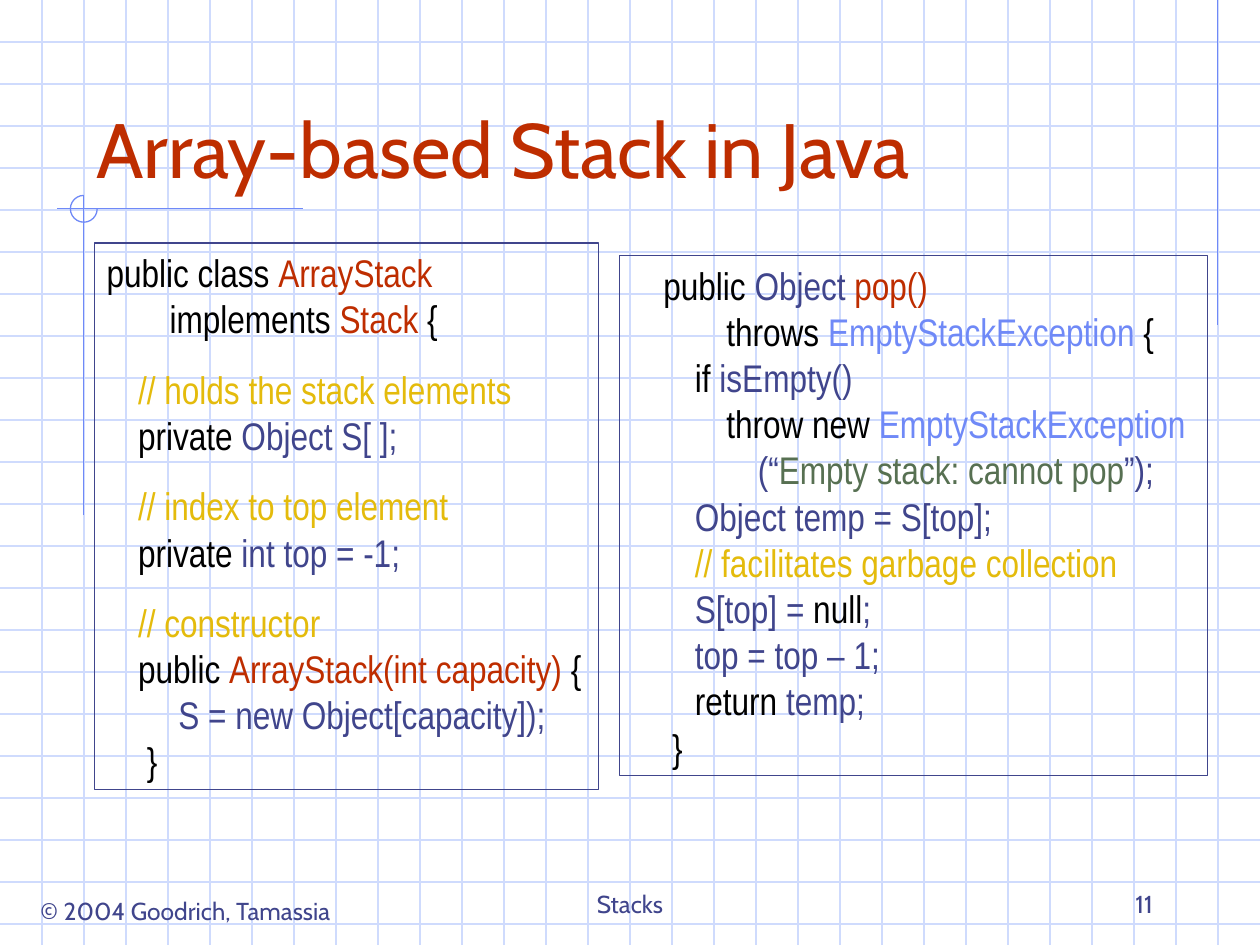
import lxml.etree
import pptx
import pptx.dml.color
import pptx.enum.shapes
import pptx.enum.text
import pptx.oxml.ns
import pptx.util

Cm = pptx.util.Cm
Pt = pptx.util.Pt
qn = pptx.oxml.ns.qn
Align = pptx.enum.text.PP_ALIGN
Anchor = pptx.enum.text.MSO_ANCHOR
AutoSize = pptx.enum.text.MSO_AUTO_SIZE
ShapeType = pptx.enum.shapes.MSO_SHAPE

WIDTH, HEIGHT = 25.4, 19.05
GRID_STEP = 2.54 / 3
TAB_STEP = 0.635
BLACK, RED, NAVY = "000000", "BE2D00", "40458C"
BLUE, GOLD, GREEN, PALE = "6F89F7", "E4BB0C", "577052", "CFDBFD"

CLASS_CODE = [
    [(BLACK, "public class "), (RED, "ArrayStack\n\t\t"), (BLACK, "implements "),
     (RED, "Stack "), (BLACK, "{")],
    [(GOLD, "\t// holds the stack elements\n\t"), (BLACK, "private "),
     (NAVY, "Object S[ ];")],
    [(GOLD, "\t// index to top element\n\t"), (BLACK, "private"),
     (NAVY, " int top = -1;")],
    [(GOLD, "\t// constructor\n\t"), (BLACK, "public "),
     (RED, "ArrayStack(int capacity) "), (BLACK, "{\n\t\t "),
     (NAVY, "S = new Object[capacity]);\n\t "), (BLACK, "}")],
]
POP_CODE = [
    [(BLACK, "\tpublic"), (NAVY, " Object "), (RED, "pop()\n\t\t\t"),
     (BLACK, "throws "), (BLUE, "EmptyStackException "), (BLACK, "{\n\t\tif"),
     (NAVY, " isEmpty()\n\t\t\t"), (BLACK, "throw new "),
     (BLUE, "EmptyStackException\n\t\t\t\t"), (NAVY, "(“"),
     (GREEN, "Empty stack: cannot pop"),
     (NAVY, "”);\n\t\tObject temp = S[top];\n\t\t"),
     (GOLD, "// facilitates garbage collection\n\t\t"), (NAVY, "S[top] = "),
     (BLACK, "null"), (NAVY, ";\n\t\ttop = top – 1;\n\t\t"),
     (BLACK, "return "), (NAVY, "temp;\n\t "), (BLACK, "}")],
]


def color(value):
    return pptx.dml.color.RGBColor.from_string(value)


class SlideWriter:
    """Hold the slide and its style, and draw each kind of element."""

    body_font = "Cabin"
    code_font = "Arial Narrow"
    code_size = 22
    line_width = 0.75

    def __init__(self, slide):
        self.slide = slide

    def outline(self, shape, line_color):
        shape.line.color.rgb = color(line_color)
        shape.line.width = Pt(self.line_width)

    def line(self, x1, y1, x2, y2, line_color):
        connector = self.slide.shapes.add_connector(
            pptx.enum.shapes.MSO_CONNECTOR.STRAIGHT, Cm(x1), Cm(y1), Cm(x2), Cm(y2))
        self.outline(connector, line_color)
        lxml.etree.SubElement(connector._element.spPr, qn("a:effectLst"))

    def shape(self, kind, box, line_color):
        shape = self.slide.shapes.add_shape(kind, *map(Cm, box))
        shape.shadow.inherit = False
        shape.fill.background()
        self.outline(shape, line_color)
        return shape

    def arc(self, box, start, end, line_color):
        shape = self.shape(ShapeType.ARC, box, line_color)
        for index, angle in enumerate((start, end)):
            shape.adjustments[index] = angle * 0.6

    def runs(self, paragraph, parts, font, size):
        for text_color, text in parts:
            for index, piece in enumerate(text.split("\n")):
                if index:
                    paragraph.add_line_break()
                if not piece:
                    continue
                run = paragraph.add_run()
                run.text = piece
                run.font.color.rgb = color(text_color)
                for name, value in {"name": font, "size": Pt(size)}.items():
                    setattr(run.font, name, value)

    def text(self, box, text, size, text_color, align, **frame_format):
        frame = self.slide.shapes.add_textbox(*map(Cm, box)).text_frame
        settings = {"word_wrap": True, "vertical_anchor": Anchor.BOTTOM} | frame_format
        for name, value in settings.items():
            setattr(frame, name, value)
        paragraph = frame.paragraphs[0]
        paragraph.alignment = align
        self.runs(paragraph, [(text_color, text)], self.body_font, size)

    def code(self, box, paragraphs):
        frame = self.shape(ShapeType.RECTANGLE, box, NAVY).text_frame
        settings = {"word_wrap": True, "vertical_anchor": Anchor.TOP,
                    "auto_size": AutoSize.SHAPE_TO_FIT_TEXT}
        for name, value in settings.items():
            setattr(frame, name, value)
        for index, parts in enumerate(paragraphs):
            paragraph = frame.add_paragraph() if index else frame.paragraphs[0]
            for name, value in {"alignment": Align.LEFT, "space_before": Pt(13.8)}.items():
                setattr(paragraph, name, value)
            tabs = lxml.etree.SubElement(
                paragraph._p.get_or_add_pPr(), qn("a:tabLst"))
            for stop in range(8):
                lxml.etree.SubElement(
                    tabs, qn("a:tab"), pos=str(int(Cm(stop * TAB_STEP))), algn="l")
            self.runs(paragraph, parts, self.code_font, self.code_size)


def main():
    presentation = pptx.Presentation()
    presentation.slide_width, presentation.slide_height = Cm(WIDTH), Cm(HEIGHT)
    writer = SlideWriter(presentation.slides.add_slide(presentation.slide_layouts[6]))

    for row in range(1, 23):
        writer.line(0, row * GRID_STEP, WIDTH, row * GRID_STEP, PALE)
    for column in range(1, 30):
        writer.line(column * GRID_STEP, 0, column * GRID_STEP, HEIGHT, PALE)

    writer.line(24.55, 0, 24.55, 6.55, BLUE)
    writer.line(6.1, 4.2, 1.14, 4.2, BLUE)
    writer.line(1.69, 3.94, 1.69, 10.39, BLUE)
    writer.arc((1.42, 3.94, 0.54, 0.54), 0, 270, BLUE)

    writer.text((0.3, 17.93, 6.88, 0.86), "© 2004 Goodrich, Tamassia", 14, NAVY,
                Align.CENTER, word_wrap=False, vertical_anchor=Anchor.TOP,
                auto_size=AutoSize.SHAPE_TO_FIT_TEXT)
    writer.text((1.69, 0.85, 21.59, 3.18), "Array-based Stack in Java", 44, RED, Align.LEFT)
    writer.code((1.9, 4.9, 10.16, 11.02), CLASS_CODE)
    writer.code((12.49, 5.15, 11.85, 10.49), POP_CODE)
    writer.text((8.68, 17.36, 8.04, 1.27), "Stacks", 14, NAVY, Align.CENTER)
    writer.text((18.2, 17.36, 5.29, 1.27), "11", 14, NAVY, Align.RIGHT)
    presentation.save("out.pptx")


if __name__ == "__main__":
    main()
